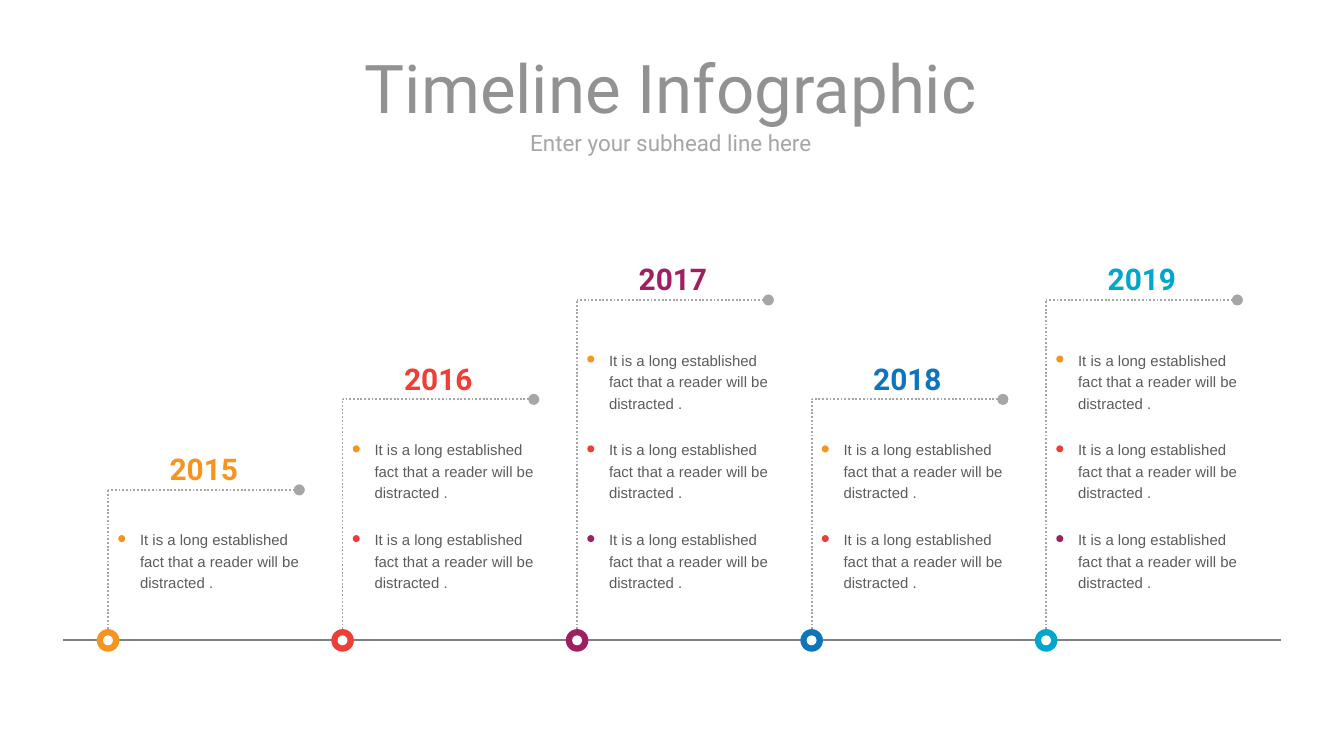
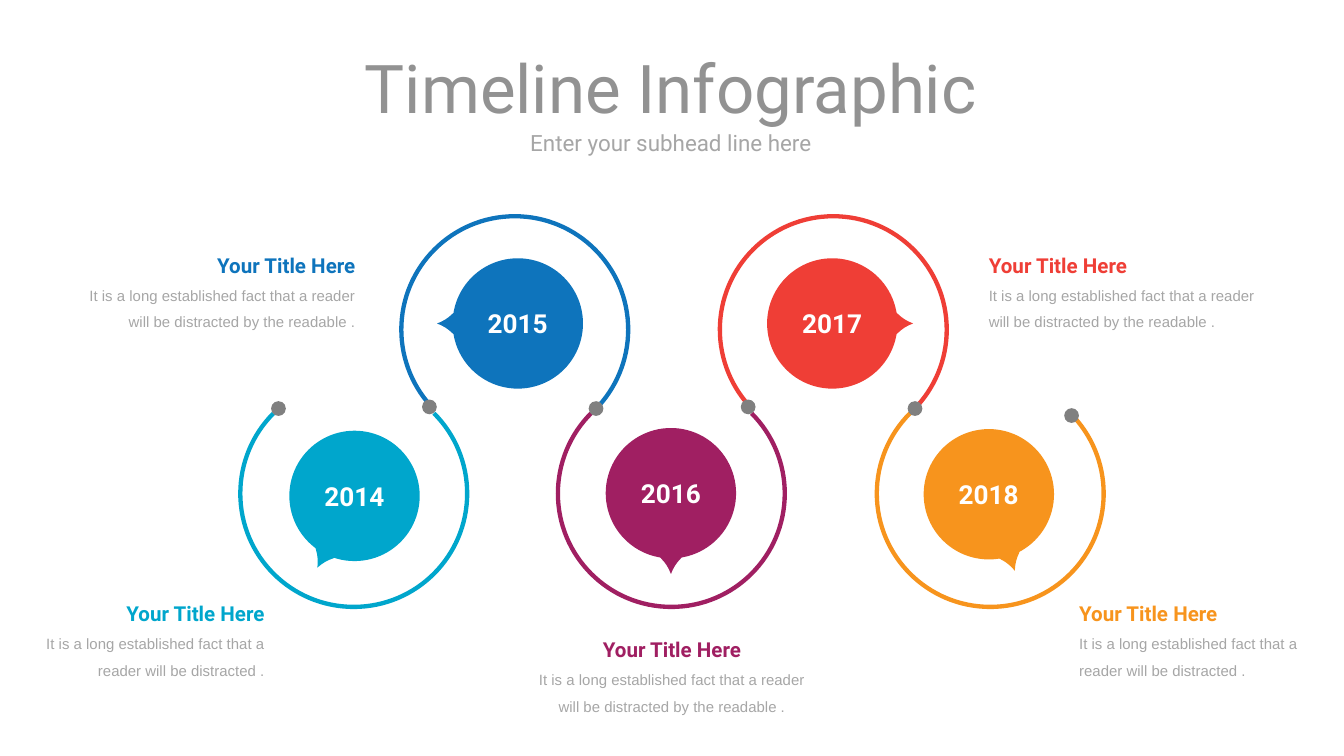
from dataclasses import dataclass
from itertools import pairwise
from math import cos, radians, sin, tan

from lxml.etree import SubElement
from pptx import Presentation
from pptx.dml.color import RGBColor
from pptx.enum.dml import MSO_LINE
from pptx.enum.shapes import MSO_CONNECTOR, MSO_SHAPE
from pptx.enum.text import MSO_ANCHOR, MSO_AUTO_SIZE, PP_ALIGN
from pptx.oxml.ns import qn
from pptx.util import Inches, Pt


@dataclass(frozen=True)
class Theme:
    orange: str = "F7941D"
    red: str = "EF3E36"
    purple: str = "A01F62"
    blue: str = "0E74BC"
    cyan: str = "00A6CC"
    white: str = "FFFFFF"
    title: str = "929292"
    muted: str = "A6A6A6"
    body: str = "5C5C5C"
    rule: str = "808080"
    heading_font: str = "Roboto"
    body_font: str = "Arial"
    title_size: int = 36
    year_size: int = 16
    bubble_size: int = 14
    subhead_size: int = 12
    caption_size: int = 11
    body_size: int = 8


THEME = Theme()
SLIDE_WIDTH = Inches(10)
SLIDE_HEIGHT = SLIDE_WIDTH * 9 // 16
GRID_COLUMNS = 100

AXIS_ROW = 47.65
FIRST_LANE, LANE_PITCH = 8.04, 17.45
LAST_ITEM_ROW, ITEM_PITCH = 39.25, 6.68
FLAG_ROWS = {1: 36.45, 2: 29.72, 3: 22.32}
SHORT_FACT = "It is a long established fact that a reader will be distracted ."
LONG_FACT = "It is a long established fact that a reader will be distracted by the readable ."

LANES = [
    ("2015", THEME.orange, 1),
    ("2016", THEME.red, 2),
    ("2017", THEME.purple, 3),
    ("2018", THEME.blue, 2),
    ("2019", THEME.cyan, 3),
]

OUTER_RADIUS, INNER_RADIUS = 8.6, 8.28
UPPER_ROW, LOWER_ROW = 24.53, 36.72
OPEN_DOWN, OPEN_UP = 90, 270
RINGS = [
    ("2014", THEME.cyan, (26.32, LOWER_ROW), OPEN_UP, (26.38, 36.9), 117.4),
    ("2015", THEME.blue, (38.3, UPPER_ROW), OPEN_DOWN, (38.53, 24.07), 180),
    ("2016", THEME.purple, (49.95, LOWER_ROW), OPEN_UP, (49.92, 36.7), 90),
    ("2017", THEME.red, (62, UPPER_ROW), OPEN_DOWN, (61.93, 24.07), 0),
    ("2018", THEME.orange, (73.68, LOWER_ROW), OPEN_UP, (73.58, 36.78), 71.3),
]
JOINTS = [(20.72, 30.4), (31.95, 30.28), (44.35, 30.4),
          (55.67, 30.28), (68.08, 30.4), (79.73, 30.92)]
CAPTIONS = [
    (73.57, 17.85, 20.9, THEME.red, PP_ALIGN.LEFT, LONG_FACT),
    (5.55, 17.85, 20.9, THEME.blue, PP_ALIGN.RIGHT, LONG_FACT),
    (80.3, 43.75, 17.4, THEME.orange, PP_ALIGN.LEFT, SHORT_FACT),
    (2.3, 43.75, 17.4, THEME.cyan, PP_ALIGN.RIGHT, SHORT_FACT),
    (39.55, 46.45, 20.9, THEME.purple, PP_ALIGN.CENTER, LONG_FACT),
]


def cells(count):
    return round(count * SLIDE_WIDTH / GRID_COLUMNS)


def box(*counts):
    return [cells(count) for count in counts]


def polar(center, radius, degrees):
    angle = radians(degrees)
    return center[0] + radius * cos(angle), center[1] + radius * sin(angle)


def write(shape, text, *, size, color, font=THEME.heading_font, bold=False,
          align=PP_ALIGN.CENTER, spacing=1.0):
    frame = shape.text_frame
    paragraph = frame.add_paragraph() if frame.text else frame.paragraphs[0]
    paragraph.alignment = align
    paragraph.line_spacing = spacing
    run = paragraph.add_run()
    run.text = text
    run.font.name = font
    run.font.size = Pt(size)
    run.font.bold = bold
    run.font.color.rgb = RGBColor.from_string(color)


def set_frame(shape, auto_size=MSO_AUTO_SIZE.NONE, wrap=True):
    frame = shape.text_frame
    frame.margin_left = frame.margin_right = frame.margin_top = frame.margin_bottom = 0
    frame.vertical_anchor = MSO_ANCHOR.MIDDLE
    frame.word_wrap = wrap
    frame.auto_size = auto_size


def add_text_box(slide, left, top, width, height, **frame_format):
    shape = slide.shapes.add_textbox(*box(left, top, width, height))
    set_frame(shape, **frame_format)
    return shape


def paint(shape, color):
    shape.shadow.inherit = False
    shape.fill.solid()
    shape.fill.fore_color.rgb = RGBColor.from_string(color)
    shape.line.fill.background()
    return shape


def add_centered(shapes, preset, center, diameter, color):
    corner = [coordinate - diameter / 2 for coordinate in center]
    return paint(shapes.add_shape(preset, *box(*corner, diameter, diameter)), color)


def add_circle(shapes, center, diameter, color):
    return add_centered(shapes, MSO_SHAPE.OVAL, center, diameter, color)


def add_line(slide, start, end, color, dotted=False, oval_head=False):
    connector = slide.shapes.add_connector(MSO_CONNECTOR.STRAIGHT, *box(*start, *end))
    connector.line.color.rgb = RGBColor.from_string(color)
    connector.line.width = Pt(1)
    if dotted:
        connector.line.dash_style = MSO_LINE.ROUND_DOT
    if oval_head:
        SubElement(connector.line._get_or_add_ln(), qn("a:headEnd"), type="oval")
    SubElement(connector._element.spPr, qn("a:effectLst"))
    return connector


def add_titled_slide(presentation):
    slide = presentation.slides.add_slide(presentation.slide_layouts[5])
    title = slide.shapes.title
    title.left, title.top, title.width, title.height = box(4.17, 3.75, 91.5, 5.4)
    set_frame(title)
    write(title, "Timeline Infographic", size=THEME.title_size, color=THEME.title)
    subhead = add_text_box(slide, 4.17, 9.65, 91.5, 1.9, wrap=False)
    write(subhead, "Enter your subhead line here", size=THEME.subhead_size, color=THEME.muted)
    return slide


def add_marker(slide, center, color):
    group = slide.shapes.add_group_shape()
    outer = add_circle(group.shapes, center, 1.68, color)
    add_circle(group.shapes, center, 0.74, THEME.white)
    return outer


def add_item(slide, lane, row, color):
    fact = add_text_box(slide, lane + 2.38, row, 12.6, 4.75,
                        auto_size=MSO_AUTO_SIZE.SHAPE_TO_FIT_TEXT)
    write(fact, SHORT_FACT, size=THEME.body_size, color=THEME.body,
          font=THEME.body_font, align=PP_ALIGN.LEFT, spacing=1.2)
    add_circle(slide.shapes, (lane + 1.02, row + 0.83), 0.52, color)


def add_lane(slide, lane, year, color, item_count):
    flag_row = FLAG_ROWS[item_count]
    marker = add_marker(slide, (lane, AXIS_ROW), color)
    pole = add_line(slide, (lane, AXIS_ROW), (lane, flag_row), THEME.muted, dotted=True)
    pole.begin_connect(marker, 0)
    add_line(slide, (lane + 14.23, flag_row), (lane, flag_row), THEME.muted,
             dotted=True, oval_head=True)
    label = add_text_box(slide, lane + 2.48, flag_row - 3.35, 9.3, 3,
                         auto_size=MSO_AUTO_SIZE.SHAPE_TO_FIT_TEXT)
    write(label, year, size=THEME.year_size, color=color, bold=True, spacing=1.2)
    first_row = LAST_ITEM_ROW - (item_count - 1) * ITEM_PITCH
    for index in range(item_count):
        add_item(slide, lane, first_row + index * ITEM_PITCH, LANES[index][1])


def curve_controls(center, radius, start, end):
    reach = radius * 4 / 3 * tan(radians(end - start) / 4)
    return [polar(polar(center, radius, start), reach, start + 90),
            polar(polar(center, radius, end), -reach, end + 90)]


def bend(segment, controls, shape):
    segment.tag = qn("a:cubicBezTo")
    for index, control in enumerate(controls):
        x, y = box(*control)
        point = SubElement(segment, qn("a:pt"), x=str(x - shape.left), y=str(y - shape.top))
        segment.insert(index, point)


def add_ring(slide, center, opening, color):
    angles = [opening + turn for turn in (45, 90, 180, 270, 315)]
    stops = [(OUTER_RADIUS, angle) for angle in angles]
    stops += [(INNER_RADIUS, angle) for angle in reversed(angles)]
    points = [box(*polar(center, *stop)) for stop in stops]
    builder = slide.shapes.build_freeform(*points[0])
    builder.add_line_segments(points[1:], close=True)
    ring = paint(builder.convert_to_shape(), color)
    segments = list(ring._element.iter(qn("a:lnTo")))
    for segment, ((radius, start), (next_radius, end)) in zip(segments, pairwise(stops)):
        if radius == next_radius:
            bend(segment, curve_controls(center, radius, start, end), ring)


def add_bubble(slide, center, pointing, year, color):
    pointer = add_centered(slide.shapes, MSO_SHAPE.TEAR, polar(center, 4.17, pointing), 2, color)
    pointer.adjustments[0] = 1.3
    pointer.rotation = pointing + 45
    bubble = add_circle(slide.shapes, center, 9.7, color)
    set_frame(bubble)
    write(bubble, year, size=THEME.bubble_size, color=THEME.white, bold=True)


def add_caption(slide, left, top, width, color, align, fact):
    caption = add_text_box(slide, left, top, width, 6.8,
                           auto_size=MSO_AUTO_SIZE.SHAPE_TO_FIT_TEXT)
    write(caption, "Your Title Here", size=THEME.caption_size, color=color,
          bold=True, align=align, spacing=1.5)
    write(caption, fact, size=THEME.body_size, color=THEME.muted,
          font=THEME.body_font, align=align, spacing=1.5)


def build_rising_timeline(presentation):
    slide = add_titled_slide(presentation)
    add_line(slide, (4.7, AXIS_ROW), (95.3, AXIS_ROW), THEME.rule)
    for index, (year, color, item_count) in enumerate(LANES):
        add_lane(slide, FIRST_LANE + index * LANE_PITCH, year, color, item_count)


def build_ring_timeline(presentation):
    slide = add_titled_slide(presentation)
    for year, color, ring_center, opening, bubble_center, pointing in RINGS:
        add_ring(slide, ring_center, opening, color)
        add_bubble(slide, bubble_center, pointing, year, color)
    for joint in JOINTS:
        add_circle(slide.shapes, joint, 1.1, THEME.rule)
    for caption in CAPTIONS:
        add_caption(slide, *caption)


def main():
    presentation = Presentation()
    presentation.slide_width = SLIDE_WIDTH
    presentation.slide_height = SLIDE_HEIGHT
    build_rising_timeline(presentation)
    build_ring_timeline(presentation)
    presentation.save("out.pptx")


if __name__ == "__main__":
    main()
